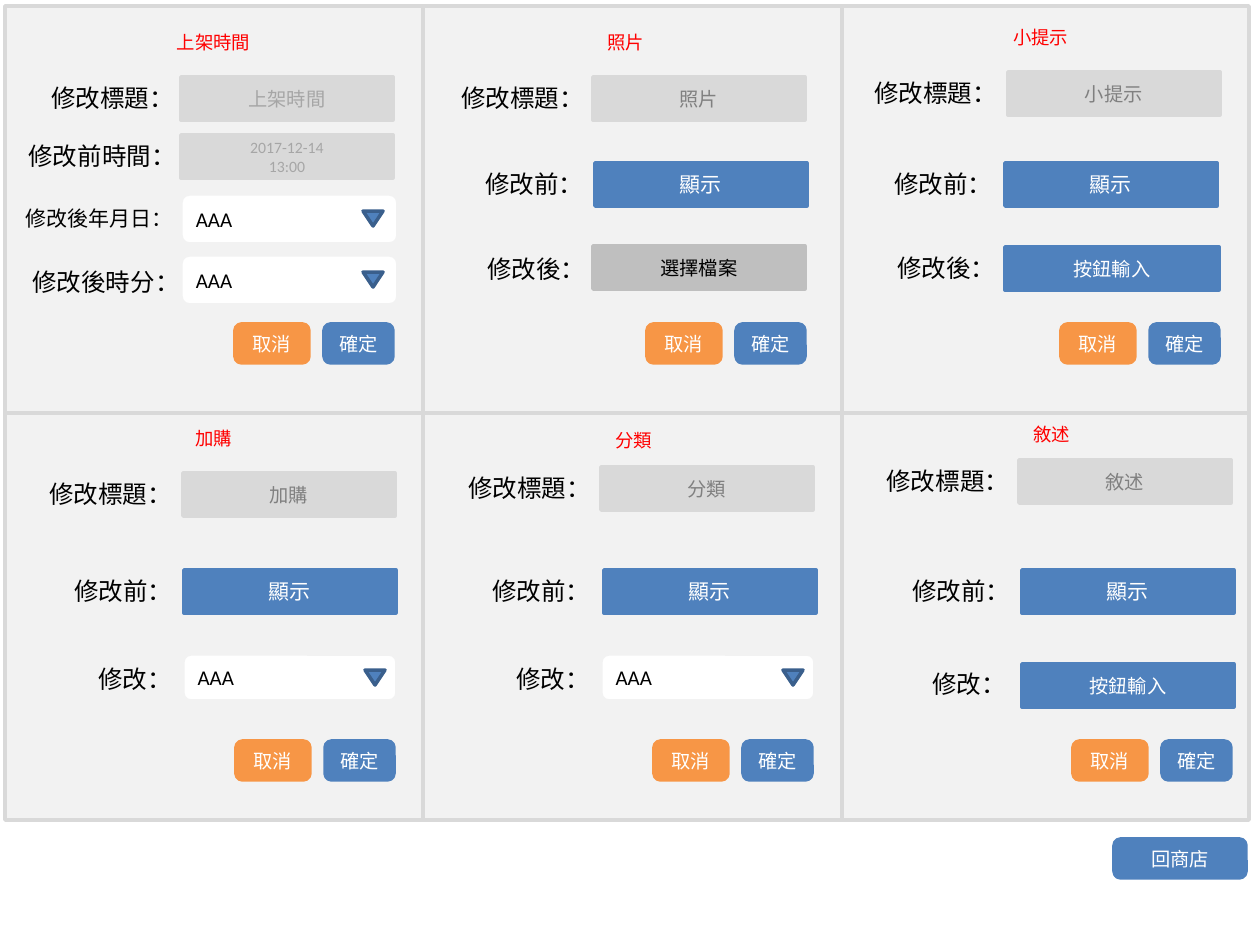
from dataclasses import dataclass
from enum import Enum
from typing import NamedTuple

from lxml import etree
from pptx import Presentation
from pptx.dml.color import RGBColor
from pptx.enum.shapes import MSO_CONNECTOR, MSO_SHAPE
from pptx.enum.text import MSO_ANCHOR, MSO_AUTO_SIZE, PP_ALIGN
from pptx.oxml.ns import qn
from pptx.util import Pt

PX = 914400 / 126


@dataclass(frozen=True)
class Theme:
    """Font, type sizes and colours of the slide."""
    font: str = "Calibri"
    label: float = 14
    small_label: float = 12
    large: float = 12
    body: float = 11
    title: float = 10.5
    date: float = 9
    outline: float = 2
    divider: float = 2.25
    black: str = "000000"
    white: str = "FFFFFF"
    red: str = "FF0000"
    blue: str = "4F81BD"
    dark_blue: str = "3A5F8C"
    orange: str = "F79646"
    panel: str = "F2F2F2"
    grey: str = "D9D9D9"
    mid_grey: str = "BFBFBF"
    muted: str = "808080"
    faint: str = "A6A6A6"


THEME = Theme()


class Box(NamedTuple):
    """A rectangle in pixels."""
    x: int
    y: int
    w: int
    h: int


class Style(NamedTuple):
    """Fill, text colour and text size of a field."""
    fill: str
    color: str
    size: float


class Field(Enum):
    """The kinds of form field."""
    LOCKED = Style(THEME.grey, THEME.muted, THEME.body)
    FAINT = Style(THEME.grey, THEME.faint, THEME.body)
    DATE = Style(THEME.grey, THEME.faint, THEME.date)
    SHOW = Style(THEME.blue, THEME.white, THEME.large)
    INPUT = Style(THEME.blue, THEME.white, THEME.body)
    FILE = Style(THEME.mid_grey, THEME.black, THEME.body)
    DROPDOWN = Style(THEME.white, THEME.black, THEME.large)


@dataclass(frozen=True)
class Row:
    """A label and its field, with the corners of both."""
    label: str
    label_x: int
    label_y: int
    kind: Field
    text: str
    x: int
    y: int
    w: int = 212
    h: int = 43
    size: float = THEME.label


@dataclass(frozen=True)
class Panel:
    """One form: heading, confirm button position and rows."""
    title: str
    title_x: int
    title_y: int
    confirm_x: int
    rows: tuple[Row, ...]


HEADING, BEFORE, AFTER, CHANGE = "修改標題：", "修改前：", "修改後：", "修改："
SHOW, INPUT, CHOICE = "顯示", "按鈕輸入", "AAA"
PANEL_COLUMNS = ((5, 420), (423, 420), (842, 407))
PANEL_TOPS, PANEL_HEIGHT = (6, 413), 407
CONFIRM_TOPS = (324, 741)

PANELS = (
    Panel("上架時間", 44, 25, 324, (
        Row(HEADING, 39, 77, Field.FAINT, "上架時間", 181, 77),
        Row("修改前時間：", 16, 135, Field.DATE, "2017-12-14\n13:00", 181, 135),
        Row("修改後年月日：", 13, 199, Field.DROPDOWN, CHOICE, 181, 194, 217, 50,
            THEME.small_label),
        Row("修改後時分：", 20, 261, Field.DROPDOWN, CHOICE, 181, 255, 217, 50))),
    Panel("照片", 456, 25, 736, (
        Row(HEADING, 449, 77, Field.LOCKED, "照片", 593, 77),
        Row(BEFORE, 473, 163, Field.SHOW, SHOW, 595, 163),
        Row(AFTER, 475, 248, Field.FILE, "選擇檔案", 593, 246))),
    Panel("小提示", 871, 20, 1150, (
        Row(HEADING, 862, 72, Field.LOCKED, "小提示", 1008, 72),
        Row(BEFORE, 882, 163, Field.SHOW, SHOW, 1005, 163),
        Row(AFTER, 885, 247, Field.INPUT, INPUT, 1005, 247, 214))),
    Panel("加購", 44, 421, 325, (
        Row(HEADING, 37, 473, Field.LOCKED, "加購", 183, 473),
        Row(BEFORE, 62, 570, Field.SHOW, SHOW, 184, 570),
        Row(CHANGE, 86, 658, Field.DROPDOWN, CHOICE, 183, 654, 214, 47))),
    Panel("分類", 464, 423, 743, (
        Row(HEADING, 456, 467, Field.LOCKED, "分類", 601, 467),
        Row(BEFORE, 480, 570, Field.SHOW, SHOW, 604, 570),
        Row(CHANGE, 504, 658, Field.DROPDOWN, CHOICE, 601, 654, 214, 47))),
    Panel("敘述", 882, 417, 1162, (
        Row(HEADING, 874, 460, Field.LOCKED, "敘述", 1019, 460),
        Row(BEFORE, 900, 570, Field.SHOW, SHOW, 1022, 570),
        Row(CHANGE, 920, 663, Field.INPUT, INPUT, 1022, 664))),
)


def emu(*pixels: int) -> list[int]:
    """Turn pixels into EMU."""
    return [round(p * PX) for p in pixels]


def write(frame, text: str, size: float, color: str, align=PP_ALIGN.CENTER) -> None:
    """Fill a text frame, one paragraph per line."""
    frame.text = text
    for paragraph in frame.paragraphs:
        paragraph.alignment = align
        font = paragraph.runs[0].font
        font.name, font.size = THEME.font, Pt(size)
        font.color.rgb = RGBColor.from_string(color)


def add_block(slide, kind, box: Box, fill: str, line: str = ""):
    """Draw a filled preset shape, outlined in its own fill by default."""
    shape = slide.shapes.add_shape(kind, *emu(*box))
    shape.shadow.inherit = False
    shape.fill.solid()
    shape.fill.fore_color.rgb = RGBColor.from_string(fill)
    shape.line.color.rgb = RGBColor.from_string(line or fill)
    shape.line.width = Pt(THEME.outline)
    return shape


def add_text(slide, box: Box, text: str, size: float, color: str,
             align=PP_ALIGN.LEFT, wrap: bool = False) -> None:
    """Place a text box."""
    frame = slide.shapes.add_textbox(*emu(*box)).text_frame
    frame.word_wrap = wrap
    frame.auto_size = MSO_AUTO_SIZE.SHAPE_TO_FIT_TEXT
    write(frame, text, size, color, align)


def add_button(slide, box: Box, text: str, fill: str) -> None:
    """Draw a rounded button."""
    shape = add_block(slide, MSO_SHAPE.ROUNDED_RECTANGLE, box, fill)
    write(shape.text_frame, text, THEME.body, THEME.white)


def add_divider(slide, x1: int, x2: int, y: int) -> None:
    """Draw a horizontal divider."""
    line = slide.shapes.add_connector(MSO_CONNECTOR.STRAIGHT, *emu(x1, y, x2, y))
    line.line.color.rgb = RGBColor.from_string(THEME.grey)
    line.line.width = Pt(THEME.divider)
    etree.SubElement(line._element.spPr, qn("a:effectLst"))


def add_row(slide, row: Row) -> None:
    """Draw a label with its field."""
    em = round(row.size * 126 / 72)
    label_box = Box(row.label_x, row.label_y, em * len(row.label) + 25, round(em * 1.22) + 13)
    add_text(slide, label_box, row.label, row.size, THEME.black)
    style, box = row.kind.value, Box(row.x, row.y, row.w, row.h)
    dropdown = row.kind is Field.DROPDOWN
    kind = MSO_SHAPE.ROUNDED_RECTANGLE if dropdown else MSO_SHAPE.RECTANGLE
    shape = add_block(slide, kind, box, style.fill, THEME.panel if dropdown else "")
    shape.text_frame.vertical_anchor = MSO_ANCHOR.MIDDLE
    write(shape.text_frame, row.text, style.size, style.color,
          PP_ALIGN.LEFT if dropdown else PP_ALIGN.CENTER)
    if dropdown:
        arrow = Box(row.x + 182, row.y + (row.h - 15) // 2, 20, 15)
        add_block(slide, MSO_SHAPE.ISOSCELES_TRIANGLE, arrow, THEME.blue,
                  THEME.dark_blue).rotation = 180


def add_panel(slide, panel: Panel, index: int) -> None:
    """Draw one panel of the three-column grid."""
    row, column = divmod(index, len(PANEL_COLUMNS))
    x, width = PANEL_COLUMNS[column]
    add_block(slide, MSO_SHAPE.RECTANGLE, Box(x, PANEL_TOPS[row], width, PANEL_HEIGHT),
              THEME.panel, THEME.grey)
    add_text(slide, Box(panel.title_x, panel.title_y, 339, 35), panel.title,
             THEME.title, THEME.red, PP_ALIGN.CENTER, True)
    for form_row in panel.rows:
        add_row(slide, form_row)
    top = CONFIRM_TOPS[row]
    add_button(slide, Box(panel.confirm_x, top, 69, 39), "確定", THEME.blue)
    add_button(slide, Box(panel.confirm_x - 89, top, 74, 39), "取消", THEME.orange)


def main() -> None:
    """Build and save the slide."""
    deck = Presentation()
    deck.slide_width, deck.slide_height = emu(1260, 945)
    slide = deck.slides.add_slide(deck.slide_layouts[6])
    for index, panel in enumerate(PANELS):
        add_panel(slide, panel, index)
    add_divider(slide, 19, 1241, PANEL_TOPS[0])
    add_divider(slide, 16, 1237, PANEL_TOPS[1])
    add_button(slide, Box(1114, 839, 132, 39), "回商店", THEME.blue)
    deck.save("out.pptx")


main()
